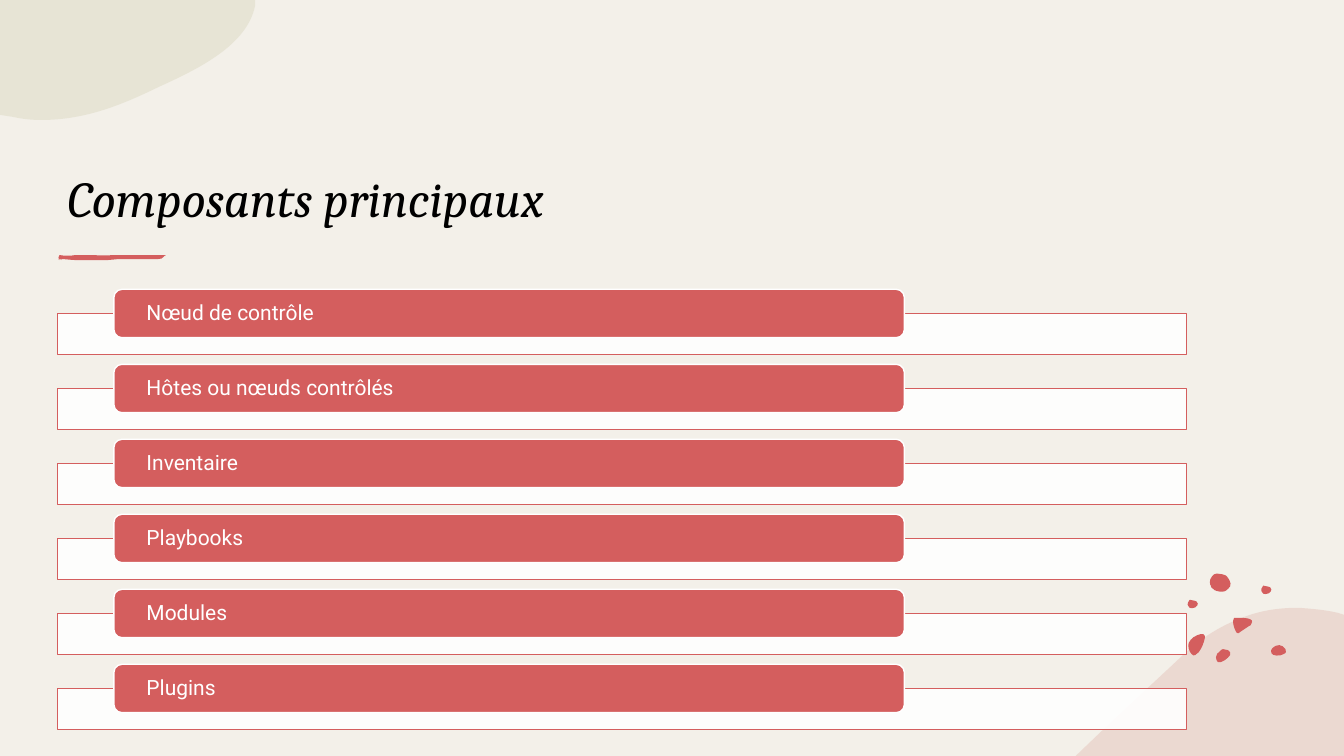
from pptx import Presentation
from pptx import util as u
from pptx.dml.color import RGBColor
from pptx.enum import shapes, text
from pptx.oxml.ns import qn
from lxml import etree

RED, WHITE = "D45E5E", "FFFFFF"
COMPONENTS = ["Nœud de contrôle", "Hôtes ou nœuds contrôlés", "Inventaire",
              "Playbooks", "Modules", "Plugins"]
FIRST_ROW_TOP, LAST_ROW_TOP = 2.87, 6.59
ROW_PITCH = (LAST_ROW_TOP - FIRST_ROW_TOP) / (len(COMPONENTS) - 1)

# Outlines: a start point, then lines (x, y) and cubic curves (x1, y1, x2, y2, x, y).
PINK_HILL = [
    (12.88, 6.03), (13.01, 6.04, 13.14, 6.05, 13.27, 6.08), (13.33, 6.1),
    (13.33, 7.5), (10.67, 7.5), (10.68, 7.49),
    (11.02, 7.16, 11.37, 6.84, 11.69, 6.54),
    (11.91, 6.32, 12.14, 6.19, 12.37, 6.11),
    (12.54, 6.05, 12.71, 6.03, 12.88, 6.03)]
GREEN_CORNER = [
    (0, 0), (2.53, 0), (2.53, 0.06), (2.45, 0.44, 2, 0.67, 1.58, 0.86),
    (1.23, 1.03, 0.86, 1.19, 0.41, 1.19), (0.31, 1.19, 0.22, 1.18, 0.13, 1.16),
    (0, 1.14)]
UNDERLINE = [
    (0.59, 2.53), (0.64, 2.54, 0.7, 2.54, 0.75, 2.53), (0.88, 2.53),
    (0.94, 2.53, 1.06, 2.54, 1.11, 2.53), (1.64, 2.53),
    (1.61, 2.54, 1.63, 2.57, 1.57, 2.57), (1.18, 2.57), (1.07, 2.58),
    (0.75, 2.58), (0.71, 2.58, 0.65, 2.57, 0.6, 2.57),
    (0.57, 2.58, 0.58, 2.54, 0.59, 2.53)]
BRISTLE = [(0, 0), (0.01, 0), (0.01, 0.01)]
BRISTLE_SPOTS = [(0.58, 2.57), (0.6, 2.57), (1.63, 2.53)]
ROUND_SPECK = [
    (12.51, 5.86), (12.51, 5.86, 12.51, 5.82, 12.53, 5.81),
    (12.55, 5.81, 12.56, 5.81, 12.58, 5.82), (12.59, 5.82, 12.61, 5.83, 12.61, 5.85),
    (12.61, 5.86, 12.6, 5.88, 12.59, 5.88), (12.59, 5.88, 12.59, 5.89, 12.57, 5.89),
    (12.56, 5.89, 12.54, 5.9, 12.53, 5.89), (12.52, 5.87, 12.51, 5.87, 12.51, 5.86)]
SPECKS = [
    [(12.13, 6.44), (12.15, 6.44, 12.16, 6.44, 12.18, 6.45),
     (12.2, 6.46, 12.21, 6.48, 12.2, 6.5), (12.18, 6.53, 12.12, 6.58, 12.08, 6.57),
     (12.07, 6.56, 12.06, 6.54, 12.06, 6.52), (12.06, 6.5, 12.08, 6.47, 12.1, 6.46),
     (12.11, 6.45, 12.12, 6.44, 12.13, 6.44)],
    [(11.91, 6.29), (11.93, 6.29, 11.95, 6.29, 11.95, 6.31), (11.95, 6.33),
     (11.94, 6.38, 11.92, 6.43, 11.89, 6.47), (11.87, 6.49, 11.84, 6.52, 11.82, 6.49),
     (11.79, 6.46, 11.78, 6.41, 11.79, 6.38), (11.8, 6.35, 11.82, 6.34, 11.84, 6.32),
     (11.85, 6.32, 11.88, 6.29, 11.91, 6.29)],
    [(12.69, 6.4), (12.71, 6.4, 12.74, 6.42, 12.75, 6.44),
     (12.76, 6.46, 12.76, 6.48, 12.73, 6.49), (12.7, 6.51, 12.62, 6.51, 12.61, 6.48),
     (12.6, 6.46, 12.61, 6.44, 12.62, 6.43), (12.64, 6.41, 12.66, 6.4, 12.69, 6.4)],
    [(12.01, 5.81), (12, 5.81, 11.99, 5.75, 12.02, 5.72),
     (12.04, 5.7, 12.04, 5.69, 12.07, 5.69), (12.1, 5.69, 12.14, 5.7, 12.16, 5.71),
     (12.18, 5.73, 12.22, 5.78, 12.2, 5.82), (12.17, 5.85, 12.16, 5.87, 12.12, 5.87),
     (12.09, 5.87, 12.04, 5.86, 12.03, 5.84), (12.01, 5.83, 12.01, 5.82, 12.01, 5.81)],
    [(12.28, 6.13), (12.34, 6.13, 12.45, 6.13, 12.41, 6.19),
     (12.41, 6.2, 12.4, 6.21, 12.39, 6.21), (12.36, 6.23, 12.33, 6.25, 12.3, 6.27),
     (12.29, 6.28, 12.28, 6.29, 12.27, 6.28), (12.26, 6.27),
     (12.24, 6.23, 12.23, 6.2, 12.23, 6.16), (12.23, 6.15, 12.23, 6.14, 12.24, 6.13)],
    ROUND_SPECK]


def color(hex_code):
    return RGBColor.from_string(hex_code)


def paint(shape, fill, opacity=100, line=None):
    """Set fill, opacity in percent and a 1 pt line, or none."""
    shape.shadow.inherit = False
    shape.fill.solid()
    shape.fill.fore_color.rgb = color(fill)
    if opacity < 100:
        fill_color = next(shape._element.spPr.iter(qn("a:srgbClr")))
        etree.SubElement(fill_color, qn("a:alpha"), val=str(opacity * 1000))
    if line:
        shape.line.color.rgb = color(line)
        shape.line.width = u.Pt(1)
    else:
        shape.line.fill.background()


def bend(shape, outline):
    """Merge each three straight segments that stand for a curve into one cubic curve."""
    straight = iter(list(shape._element.spPr.iter(qn("a:lnTo"))))
    for segment in outline[1:]:
        curve = next(straight)
        if len(segment) == 6:
            curve.tag = qn("a:cubicBezTo")
            for spare in (next(straight), next(straight)):
                curve.append(spare[0])
                spare.getparent().remove(spare)


def add_blob(slide, outline, fill, opacity=100, dx=0, dy=0):
    points = [(u.Inches(segment[i] + dx), u.Inches(segment[i + 1] + dy))
              for segment in outline for i in range(0, len(segment), 2)]
    builder = slide.shapes.build_freeform(*points[0])
    builder.add_line_segments(points[1:], close=True)
    blob = builder.convert_to_shape()
    bend(blob, outline)
    paint(blob, fill, opacity)


def write(shape, words, font, size, ink, anchor, side_inset, italic=False):
    frame = shape.text_frame
    frame.word_wrap = True
    frame.vertical_anchor = anchor
    frame.margin_left = frame.margin_right = u.Inches(side_inset)
    paragraph = frame.paragraphs[0]
    paragraph.alignment = text.PP_ALIGN.LEFT
    run = paragraph.add_run()
    run.text = words
    run.font.name = font
    run.font.size = u.Pt(size)
    run.font.italic = italic
    run.font.color.rgb = color(ink)
    return frame


def add_title(slide, words):
    title = slide.shapes.add_textbox(*map(u.Inches, (0.57, 0.86, 11.02, 1.45)))
    write(title, words, "Cambria", 36, "000000", text.MSO_ANCHOR.BOTTOM, 0.1, italic=True)


def add_component(slide, name, top):
    """A white strip with a red name bar over its upper edge."""
    strip = slide.shapes.add_shape(shapes.MSO_SHAPE.RECTANGLE,
                                   *map(u.Inches, (0.57, top + 0.24, 11.2, 0.41)))
    paint(strip, WHITE, 90, RED)
    bar = slide.shapes.add_shape(shapes.MSO_SHAPE.ROUNDED_RECTANGLE,
                                 *map(u.Inches, (1.13, top, 7.84, 0.48)))
    paint(bar, RED, line=WHITE)
    frame = write(bar, name, "Roboto", 15, WHITE, text.MSO_ANCHOR.MIDDLE, 0.3)
    frame.margin_top = frame.margin_bottom = 0
    frame.paragraphs[0].line_spacing = 0.9


def main():
    deck = Presentation()
    deck.slide_width, deck.slide_height = u.Inches(13.33), u.Inches(7.5)
    slide = deck.slides.add_slide(deck.slide_layouts[6])
    slide.background.fill.solid()
    slide.background.fill.fore_color.rgb = color("F3F0E9")

    add_blob(slide, PINK_HILL, "E5C4BA", 50)
    for speck in SPECKS:
        add_blob(slide, speck, RED)
    add_blob(slide, ROUND_SPECK, RED, dx=-0.73, dy=0.14)
    add_blob(slide, GREEN_CORNER, "DCD9C3", 50)
    for x, y in BRISTLE_SPOTS:
        add_blob(slide, BRISTLE, RED, dx=x, dy=y)
    add_blob(slide, UNDERLINE, RED)

    add_title(slide, "Composants principaux")
    for row, name in enumerate(COMPONENTS):
        add_component(slide, name, FIRST_ROW_TOP + row * ROW_PITCH)
    deck.save("out.pptx")


if __name__ == "__main__":
    main()
